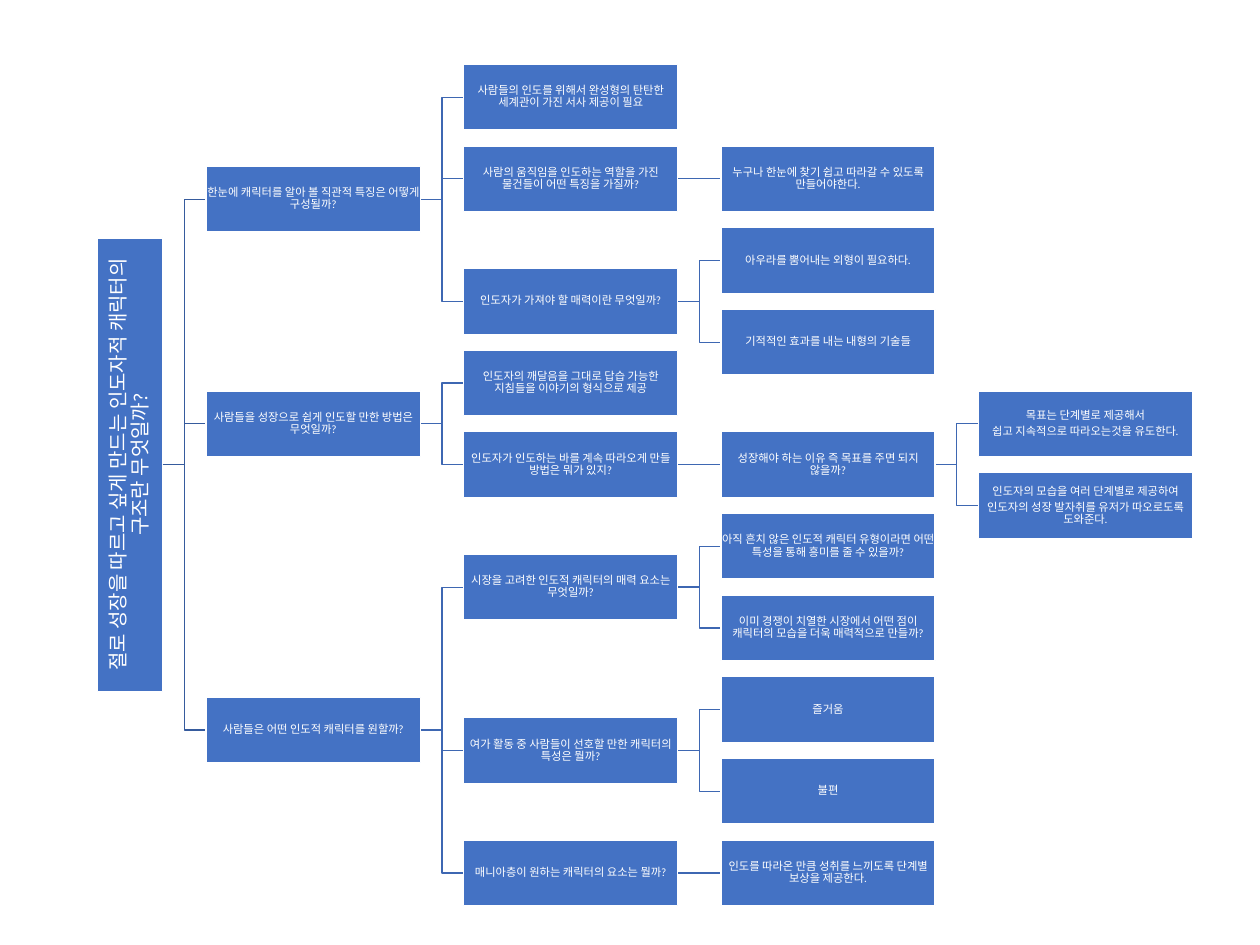
from lxml.etree import SubElement
from pptx import Presentation
from pptx.dml.color import RGBColor as RGB
from pptx.enum.shapes import MSO_CONNECTOR as LINK, MSO_SHAPE as SHAPE
from pptx.enum.text import MSO_ANCHOR as ANCHOR, MSO_AUTO_SIZE as FIT, PP_ALIGN as ALIGN
from pptx.oxml.ns import qn
from pptx.util import Inches, Pt

# Each node is (text, children)
TREE = ("절로 성장을 따르고 싶게 만드는 인도자적 캐릭터의 구조란 무엇일까?", [
    ("한눈에 캐릭터를 알아 볼 직관적 특징은 어떻게 구성될까?", [
        ("사람들의 인도를 위해서 완성형의 탄탄한 세계관이 가진 서사 제공이 필요", []),
        ("사람의 움직임을 인도하는 역할을 가진 물건들이 어떤 특징을 가질까?", [
            ("누구나 한눈에 찾기 쉽고 따라갈 수 있도록 만들어야한다.", []),
        ]),
        ("인도자가 가져야 할 매력이란 무엇일까?", [
            ("아우라를 뿜어내는 외형이 필요하다.", []),
            ("기적적인 효과를 내는 내형의 기술들", []),
        ]),
    ]),
    ("사람들을 성장으로 쉽게 인도할 만한 방법은 무엇일까?", [
        ("인도자의 깨달음을 그대로 답습 가능한 지침들을 이야기의 형식으로 제공", []),
        ("인도자가 인도하는 바를 계속 따라오게 만들 방법은 뭐가 있지?", [
            ("성장해야 하는 이유 즉 목표를 주면 되지 않을까?", [
                ("목표는 단계별로 제공해서\n쉽고 지속적으로 따라오는것을 유도한다.", []),
                ("인도자의 모습을 여러 단계별로 제공하여\n"
                 "인도자의 성장 발자취를 유저가 따오로도록 도와준다.", []),
            ]),
        ]),
    ]),
    ("사람들은 어떤 인도적 캐릭터를 원할까?", [
        ("시장을 고려한 인도적 캐릭터의 매력 요소는 무엇일까?", [
            ("아직 흔치 않은 인도적 캐릭터 유형이라면 어떤 특성을 통해 흥미를 줄 수 있을까?", []),
            ("이미 경쟁이 치열한 시장에서 어떤 점이 캐릭터의 모습을 더욱 매력적으로 만들까?", []),
        ]),
        ("여가 활동 중 사람들이 선호할 만한 캐릭터의 특성은 뭘까?", [
            ("즐거움", []),
            ("불편", []),
        ]),
        ("매니아층이 원하는 캐릭터의 요소는 뭘까?", [
            ("인도를 따라온 만큼 성취를 느끼도록 단계별 보상을 제공한다.", []),
        ]),
    ]),
])

THEME = {
    "font": "Calibri", "root": 16, "node": 9,
    "box": RGB(0x44, 0x72, 0xC4), "ink": RGB(0xFF, 0xFF, 0xFF),
    "trunk": RGB(0x36, 0x5B, 0x9D), "branch": RGB(0x3E, 0x67, 0xB2),
}
WIDE, HIGH, GAP = 2.38, 0.73, 0.48
LEFT, LONG = 1.08, 5.04        # root: left edge and length
TOP, END = 1.08, 9.70          # centres of the first and last rows
STEP = (END - TOP) / 9.5       # least distance between centres in a column


def shift(node, depth, move, last):
    node["y"] += move
    last[depth] = max(last.get(depth, TOP), node["y"])
    for kid in node["kids"]:
        shift(kid, depth + 1, move, last)


def layout(item, depth, last):
    """Centre a node on its children, then push it clear of its column."""
    text, subs = item
    floor = last[depth] + STEP if depth in last else TOP
    kids = [layout(sub, depth + 1, last) for sub in subs]
    mid = (kids[0]["y"] + kids[-1]["y"]) / 2 if kids else floor
    node = {"text": text, "kids": kids, "y": mid}
    shift(node, depth, max(0, floor - mid), last)
    return node


def edges(depth):
    """Left and right edge of a column."""
    if depth == 0:
        return LEFT, LEFT + HIGH
    left = LEFT + HIGH + GAP + (depth - 1) * (WIDE + GAP)
    return left, left + WIDE


def write(shape, text, size, color=THEME["ink"], align=ALIGN.CENTER):
    frame = shape.text_frame
    frame.text = text
    frame.word_wrap, frame.auto_size = True, FIT.NONE
    frame.vertical_anchor = ANCHOR.MIDDLE
    frame.margin_left = frame.margin_right = Inches(0.01)
    frame.margin_top = frame.margin_bottom = Inches(0.01)
    for para in frame.paragraphs:
        para.alignment, para.line_spacing = align, 0.9
        para.space_before, para.space_after = Pt(0), Pt(size * 0.35)
        font = para.font
        for run in para.runs:
            font = run.font
            font.name, font.size = THEME["font"], Pt(size)
            font.color.rgb = color


def paint(shape):
    shape.fill.solid()
    shape.fill.fore_color.rgb = THEME["box"]
    shape.line.color.rgb = THEME["ink"]
    shape.line.width = Pt(1)
    shape.shadow.inherit = False


def join(slide, start, end, color):
    kind = LINK.STRAIGHT if abs(start[1] - end[1]) < 0.01 else LINK.ELBOW
    line = slide.shapes.add_connector(kind, *map(Inches, start + end))
    line.line.color.rgb = color
    line.line.width = Pt(1)
    SubElement(line._element.spPr, qn("a:effectLst"))


def draw_links(slide, node, depth=0):
    color = THEME["branch" if depth else "trunk"]
    for kid in node["kids"]:
        join(slide, (edges(depth)[1], node["y"]), (edges(depth + 1)[0], kid["y"]), color)
        draw_links(slide, kid, depth + 1)


def draw_boxes(slide, node, depth=0):
    left, right = edges(depth)
    wide = WIDE if depth else LONG
    place = [Inches(n) for n in ((left + right - wide) / 2, node["y"] - HIGH / 2, wide, HIGH)]
    if depth:
        box = slide.shapes.add_shape(SHAPE.RECTANGLE, *place)
    else:
        box = slide.shapes.title
        box.left, box.top, box.width, box.height = place
        box.rotation = 270
    paint(box)
    write(box, node["text"], THEME["node" if depth else "root"])
    for kid in node["kids"]:
        draw_boxes(slide, kid, depth + 1)


def main():
    deck = Presentation()
    deck.slide_width, deck.slide_height = Inches(14), Inches(10.5)
    slide = deck.slides.add_slide(deck.slide_layouts[5])
    root = layout(TREE, 0, {})
    draw_links(slide, root)
    draw_boxes(slide, root)
    deck.save("out.pptx")


if __name__ == "__main__":
    main()
